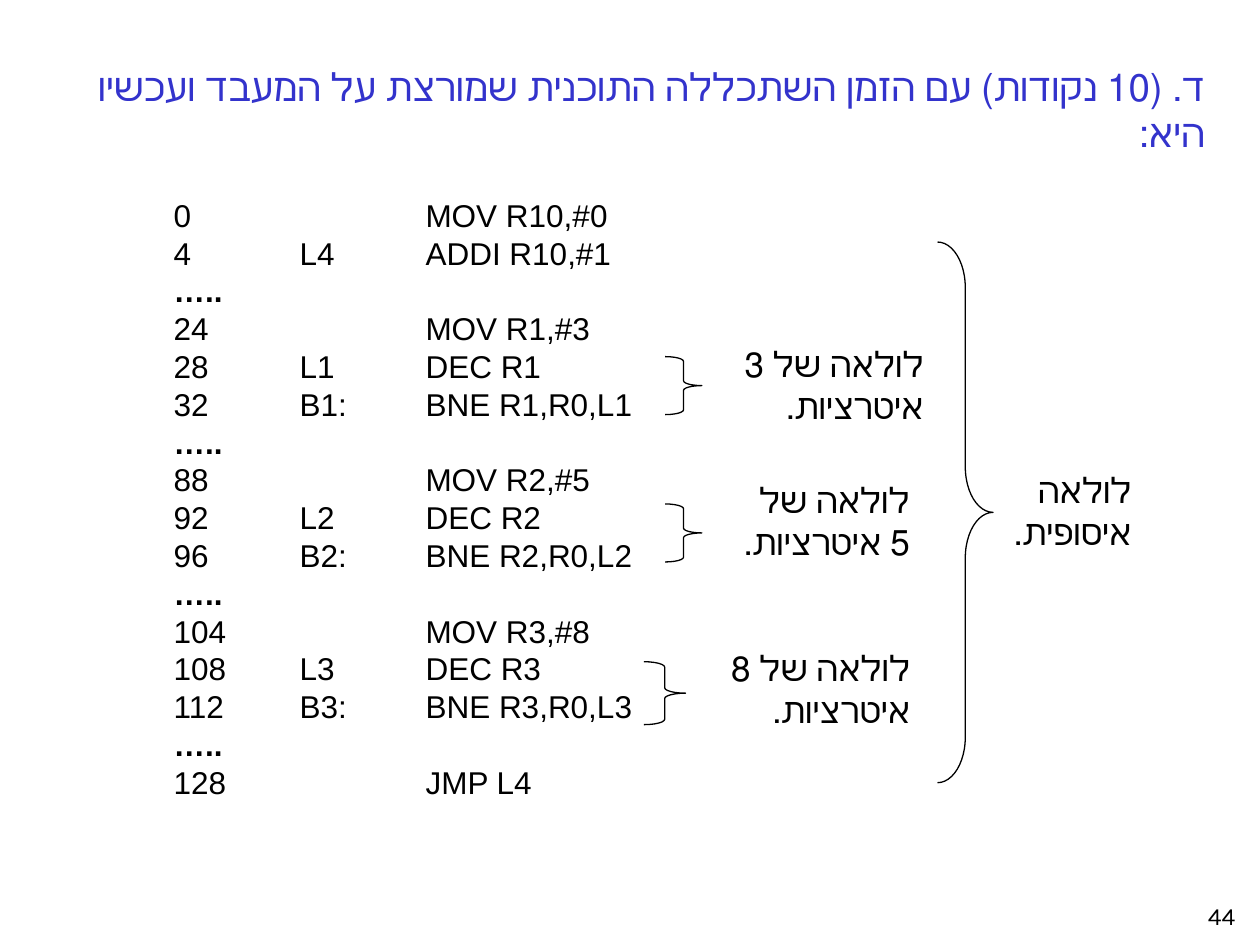
from lxml import etree
from pptx import Presentation
from pptx.dml.color import RGBColor
from pptx.enum.shapes import MSO_SHAPE
from pptx.enum.text import MSO_ANCHOR, PP_ALIGN
from pptx.oxml.ns import qn
from pptx.util import Cm, Pt

BLACK, WHITE, BLUE = "000000", "FFFFFF", "3333CC"


def rgb(value):
    """Turn a hex string into a colour."""
    return RGBColor.from_string(value)


def add_text(box, text, size, color=BLACK, font="Arial", rtl=False):
    """Add a text box at box (left, top, width, height in cm) and return it."""
    sp = slide.shapes.add_textbox(*[Cm(v) for v in box])
    tf = sp.text_frame
    tf.word_wrap = True
    tf.text = text
    for p in tf.paragraphs:
        if rtl:
            p.alignment = PP_ALIGN.RIGHT
            p._p.get_or_add_pPr().set("rtl", "1")
        for r in p.runs:
            r.font.size = Pt(size)
            r.font.name = font
            r.font.color.rgb = rgb(color)
    return sp


prs = Presentation()
prs.slide_width, prs.slide_height = Cm(25.4), Cm(19.05)
slide = prs.slides.add_slide(prs.slide_layouts[6])

add_text((24.1, 18.03, 1.27, 0.86), "44", 14, font="Karla")
add_text((0.84, 1.14, 23.7, 1.19),
         "ד. (10 נקודות) עם הזמן השתכללה התוכנית שמורצת על המעבד ועכשיו היא:",
         22, BLUE, rtl=True)

# Loop labels
loops = [
    ("לולאה של 3 איטרציות.", (14.68, 6.78, 4.19, 2.03)),
    ("לולאה של 5 איטרציות.", (14.68, 9.53, 3.91, 2.11)),
    ("לולאה של 8 איטרציות.", (13.82, 12.9, 4.78, 1.91)),
]
for text, box in loops:
    sp = add_text(box, text, 20, rtl=True)
    sp.text_frame.margin_left = Cm(0.1)
    sp.fill.solid()
    sp.fill.fore_color.rgb = rgb(WHITE)
add_text((19.53, 9.32, 3.53, 2.21), "לולאה איסופית.", 20, rtl=True)

# Program listing: address, label, instruction
dots = ("…..",)
program = [
    ("0", "", "MOV R10,#0"),
    ("4", "L4", "ADDI R10,#1"),
    dots,
    ("24", "", "MOV R1,#3"),
    ("28", "L1", "DEC R1"),
    ("32", "B1:", "BNE R1,R0,L1"),
    dots,
    ("88", "", "MOV R2,#5"),
    ("92", "L2", "DEC R2"),
    ("96", "B2:", "BNE R2,R0,L2"),
    dots,
    ("104", "", "MOV R3,#8"),
    ("108", "L3", "DEC R3"),
    ("112", "B3:", "BNE R3,R0,L3"),
    dots,
    ("128", "", "JMP L4"),
]
listing = add_text((3.25, 3.81, 9.75, 12.47),
                   "\n".join("\t".join(row) for row in program), 18)
listing.text_frame.word_wrap = False
listing.text_frame.vertical_anchor = MSO_ANCHOR.MIDDLE
for p, row in zip(listing.text_frame.paragraphs, program):
    p.line_spacing = Pt(21.6)
    p.runs[0].font.bold = row == dots
    tabs = etree.SubElement(p._p.get_or_add_pPr(), qn("a:tabLst"))
    for column in (1, 2):
        etree.SubElement(tabs, qn("a:tab"), pos=str(Cm(2.54 * column)), algn="l")

# Braces: box and curve size
braces = [
    ((13.41, 7.19, 0.74, 1.17), 0.13),
    ((13.41, 10.16, 0.74, 1.17), 0.13),
    ((12.98, 13.34, 0.84, 1.27), 0.13),
    ((18.9, 4.88, 1.12, 10.9), 0.82),
]
for box, curve in braces:
    sp = slide.shapes.add_shape(MSO_SHAPE.RIGHT_BRACE, *[Cm(v) for v in box])
    sp.adjustments[0] = curve
    sp.shadow.inherit = False
    sp.fill.background()
    sp.line.color.rgb = rgb(BLACK)
    sp.line.width = Pt(0.75)

prs.save("out.pptx")
